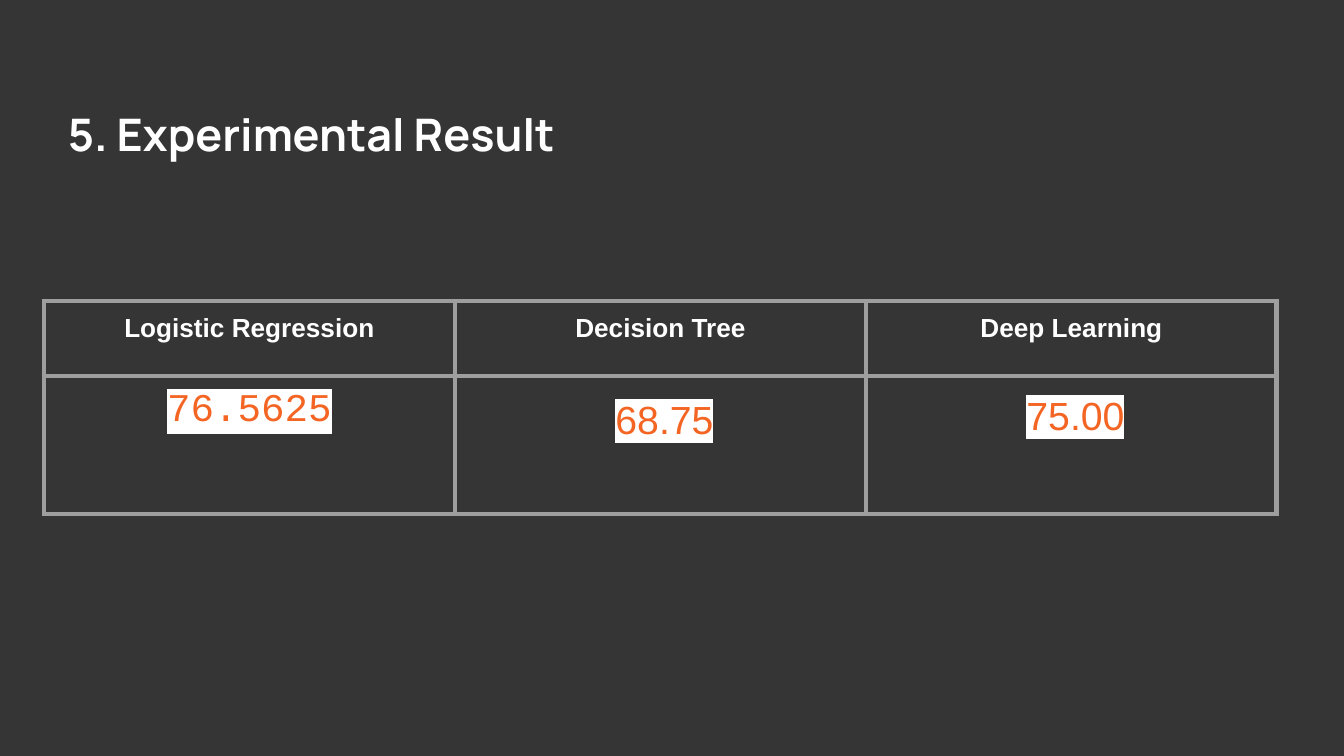
from lxml.etree import SubElement
from pptx import Presentation
from pptx.dml.color import RGBColor
from pptx.enum.text import PP_ALIGN
from pptx.oxml import parse_xml
from pptx.oxml.ns import nsdecls, qn
from pptx.util import Pt

SCALE = 914400 / 134.4
DARK = RGBColor(0x35, 0x35, 0x35)
WHITE = RGBColor(0xFF, 0xFF, 0xFF)
GREY = RGBColor(0x9E, 0x9E, 0x9E)
ORANGE = RGBColor(0xF4, 0x65, 0x24)
PAD = 13

TITLE = dict(name="Manrope", size=Pt(24), bold=True)
HEAD = dict(name="Arial", size=Pt(14), bold=True)
SCORE = dict(name="Arial", size=Pt(21), bold=False)
CODE = SCORE | dict(name="Courier New")
LOOSE = dict(line_spacing=1.15, space_before=Pt(1))

# model, score, font, paragraph format, left indent, top margin
MODELS = [
    ("Logistic Regression", "76.5625", CODE, {}, 0, PAD),
    ("Decision Tree", "68.75", SCORE, LOOSE, 8, PAD + 4),
    ("Deep Learning", "75.00", SCORE, LOOSE, 8, PAD),
]


def px(num):
    return round(num * SCALE)


def apply(item, form):
    for key, val in form.items():
        setattr(item, key, val)


class Deck:
    def __init__(self, wide, high):
        self.prs = Presentation()
        apply(self.prs, dict(slide_width=px(wide), slide_height=px(high)))
        self.slide = self.prs.slides.add_slide(self.prs.slide_layouts[6])
        fill = self.slide.background.fill
        fill.solid()
        fill.fore_color.rgb = DARK

    def label(self, para, text, font, color=WHITE, mark=None):
        """Add a run; mark is its highlight colour."""
        run = para.add_run()
        run.text = text
        apply(run.font, font)
        run.font.color.rgb = color
        if mark is not None:
            light = parse_xml(f'<a:highlight {nsdecls("a")}><a:srgbClr val="{mark}"/></a:highlight>')
            run._r.rPr.find(qn("a:solidFill")).addnext(light)

    def pad(self, item, top=PAD):
        sides = dict(margin_left=PAD, margin_right=PAD, margin_top=top, margin_bottom=PAD)
        apply(item, {key: px(val) for key, val in sides.items()})

    def title(self, text, *box):
        frame = self.slide.shapes.add_textbox(*map(px, box)).text_frame
        frame.word_wrap = True
        self.pad(frame)
        self.label(frame.paragraphs[0], text, TITLE)

    def edge(self, cell):
        """Draw all four borders of a cell."""
        props = cell._tc.get_or_add_tcPr()
        for spot, side in enumerate(("lnL", "lnR", "lnT", "lnB")):
            line = SubElement(props, qn(f"a:{side}"), w=str(int(Pt(3))))
            fill = SubElement(line, qn("a:solidFill"))
            SubElement(fill, qn("a:srgbClr"), val=str(GREY))
            props.insert(spot, line)

    def cell(self, cell, text, font, form, indent=0, top=PAD, **ink):
        cell.fill.background()
        self.edge(cell)
        self.pad(cell, top)
        para = cell.text_frame.paragraphs[0]
        apply(para, dict(alignment=PP_ALIGN.CENTER) | form)
        if indent:
            props = para._p.get_or_add_pPr()
            props.set("marL", str(px(indent)))
            props.set("indent", "0")
        self.label(para, text, font, **ink)

    def table(self, left, top, wide, rows):
        size = (len(rows), len(MODELS))
        grid = self.slide.shapes.add_table(
            *size, *map(px, (left, top, wide * len(MODELS), sum(rows)))).table
        apply(grid, dict(first_row=False, horz_banding=False))
        for row, high in zip(grid.rows, rows):
            row.height = px(high)
        for col, (model, score, font, form, indent, drop) in enumerate(MODELS):
            grid.columns[col].width = px(wide)
            self.cell(grid.cell(0, col), model, HEAD, {})
            self.cell(grid.cell(1, col), score, font, form, indent, drop,
                      color=ORANGE, mark=WHITE)


def main():
    deck = Deck(1344, 756)
    deck.title("5. Experimental Result", 55, 94, 1102, 82)
    deck.table(44, 301, 411, (75, 138))
    deck.prs.save("out.pptx")


if __name__ == "__main__":
    main()
